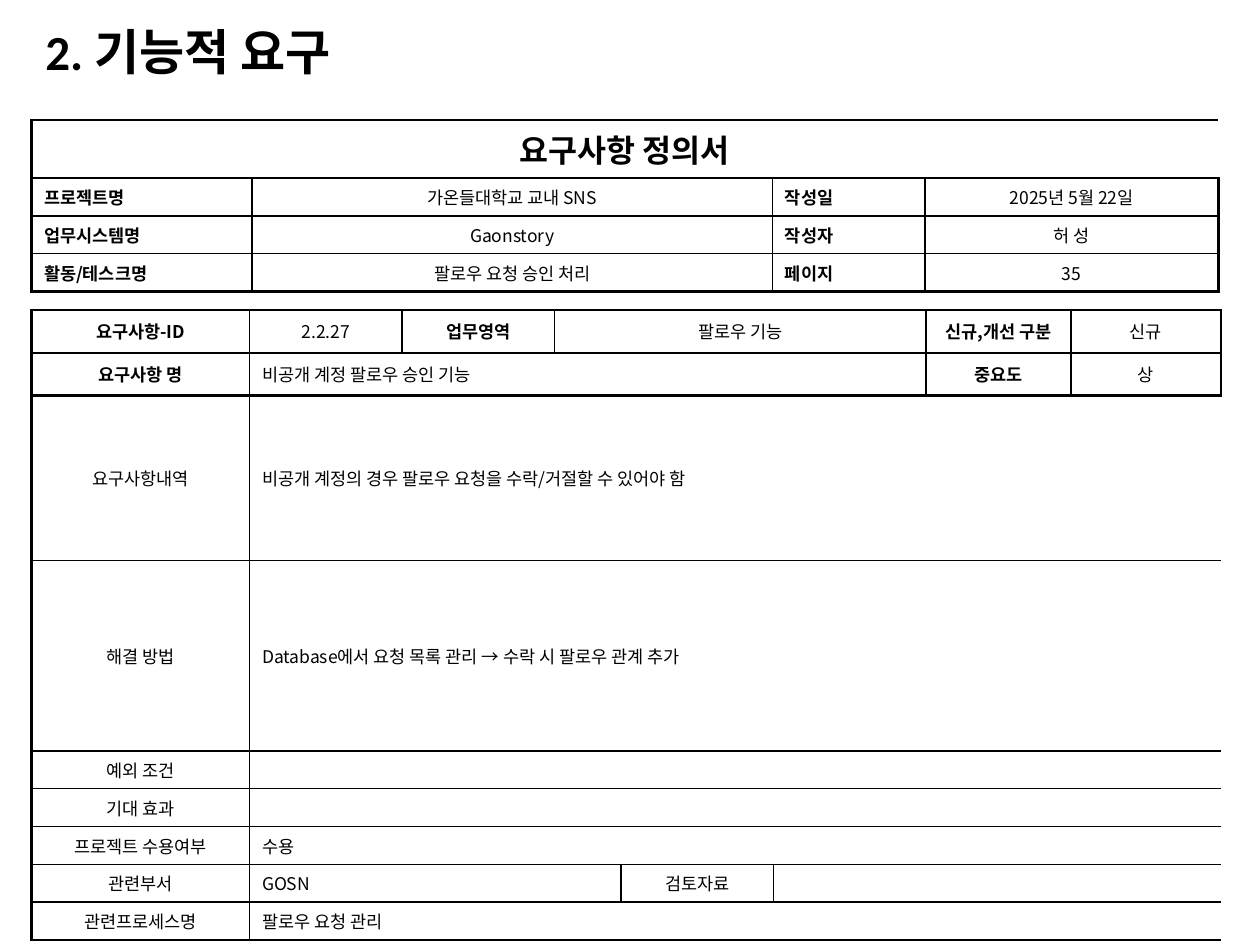
import dataclasses

import pptx
import pptx.dml.color
import pptx.enum.text
import pptx.oxml
import pptx.oxml.ns
import pptx.util
from lxml import etree

qn = pptx.oxml.ns.qn
Inches, Pt = pptx.util.Inches, pptx.util.Pt
ALIGN = {
    "c": pptx.enum.text.PP_ALIGN.CENTER,
    "l": pptx.enum.text.PP_ALIGN.LEFT,
    "j": pptx.enum.text.PP_ALIGN.JUSTIFY,
}
MIDDLE = pptx.enum.text.MSO_ANCHOR.MIDDLE
TOP = pptx.enum.text.MSO_ANCHOR.TOP
NO_STYLE = "{2D5ABB26-0587-4C30-8999-92F81FD0307C}"


@dataclasses.dataclass(frozen=True)
class Theme:
    ink: str = "000000"
    title_font: str = "Calibri"
    body_font: str = "Noto Sans CJK KR"
    title: int = 28
    heading: int = 18
    body: int = 10
    thin: float = 1
    thick: float = 1.5
    left: float = 0.25


THEME = Theme()


@dataclasses.dataclass(frozen=True)
class Cell:
    text: str = ""
    align: str = "c"
    bold: bool = False
    span: int = 1
    size: int = THEME.body
    anchor: object = MIDDLE


def label(text, **options):
    return Cell(text, bold=True, **options)


def style_paragraph(p, size, bold, name):
    p.font.size, p.font.bold, p.font.name = Pt(size), bold, name
    p.font.color.rgb = pptx.dml.color.RGBColor.from_string(THEME.ink)
    # East Asian text uses the same typeface
    def_rpr = p._p.pPr.find(qn("a:defRPr"))
    etree.SubElement(def_rpr, qn("a:ea"), typeface=name)


def space_before_percent(p, percent):
    p.space_before = Pt(0)
    spacing = p._p.pPr.find(qn("a:spcBef"))
    spacing.remove(spacing[0])
    etree.SubElement(spacing, qn("a:spcPct"), val=str(percent * 1000))


def set_borders(cell, widths):
    """Draw the sides given as {side letter: points}, in L, R, T, B order."""
    tc_pr = cell._tc.get_or_add_tcPr()
    for position, (side, width) in enumerate(widths.items()):
        ln = etree.Element(qn(f"a:ln{side}"), w=str(int(Pt(width))))
        fill = etree.SubElement(ln, qn("a:solidFill"))
        etree.SubElement(fill, qn("a:srgbClr"), val=THEME.ink)
        tc_pr.insert(position, ln)


def fill_cell(cell, content):
    cell.fill.background()
    cell.vertical_anchor = content.anchor
    p = cell.text_frame.paragraphs[0]
    p.alignment = ALIGN[content.align]
    space_before_percent(p, 20)
    style_paragraph(p, content.size, content.bold, THEME.body_font)
    if content.text:
        p.add_run().text = content.text


def add_form(slide, top, cols, heights, rows, thick_lines):
    """Add a ruled table; thick_lines holds the numbers of heavy row lines."""
    frame = slide.shapes.add_table(
        len(rows), len(cols), Inches(THEME.left), Inches(top),
        Inches(sum(cols)), Inches(sum(heights)))
    table = frame.table
    table.first_row = table.horz_banding = False
    table._tbl.tblPr.find(qn("a:tableStyleId")).text = NO_STYLE
    for column, width in zip(table.columns, cols):
        column.width = Inches(width)
    for row, height in zip(table.rows, heights):
        row.height = Inches(height)

    def weight(is_thick):
        return THEME.thick if is_thick else THEME.thin

    for i, row in enumerate(rows):
        start = 0
        for content in row:
            last = start + content.span - 1
            if content.span > 1:
                table.cell(i, start).merge(table.cell(i, last))
            fill_cell(table.cell(i, start), content)
            for j in range(start, last + 1):
                sides = {}
                if j == start:
                    sides["L"] = weight(j == 0)
                if j == last:
                    sides["R"] = weight(j == len(cols) - 1)
                sides["T"] = weight(i in thick_lines)
                sides["B"] = weight(i + 1 in thick_lines)
                set_borders(table.cell(i, j), sides)
            start = last + 1


def add_title(slide, text):
    sp = slide.shapes.title
    sp.left, sp.top = Inches(0.26), Inches(0.21)
    sp.width, sp.height = Inches(5.36), Inches(0.44)
    tf = sp.text_frame
    tf.text = text
    tf.word_wrap = True
    tf.auto_size = pptx.enum.text.MSO_AUTO_SIZE.NONE
    tf.vertical_anchor = MIDDLE
    p = tf.paragraphs[0]
    p.alignment = ALIGN["l"]
    p.line_spacing = 0.9
    style_paragraph(p, THEME.title, True, THEME.title_font)


def add_requirement(slide):
    wide = [
        ("요구사항내역", "비공개 계정의 경우 팔로우 요청을 수락/거절할 수 있어야 함"),
        ("해결 방법", "Database에서 요청 목록 관리 → 수락 시 팔로우 관계 추가"),
        ("예외 조건", ""),
        ("기대 효과", ""),
        ("프로젝트 수용여부", "수용"),
        ("관련프로세스명", "팔로우 요청 관리"),
    ]
    rows = [
        [label("요구사항-ID"), Cell("2.2.27"), label("업무영역"),
         Cell("팔로우 기능", span=3), label("신규,개선 구분"), Cell("신규")],
        [label("요구사항 명"), Cell("비공개 계정 팔로우 승인 기능", "l", span=5),
         label("중요도"), Cell("상")],
    ]
    rows += [[Cell(name), Cell(text, "l", span=7)] for name, text in wide]
    # The department row stands before the last one
    rows.insert(-1, [Cell("관련부서"), Cell("GOSN", "l", span=3),
                     Cell("검토자료"), Cell(span=3)])
    add_form(slide, 2.46,
             [1.73, 1.21, 1.21, 0.53, 1.21, 1.21, 1.15, 1.19],
             [0.34] * 2 + [1.31, 1.51] + [0.27] * 5,
             rows, {0, 1, 2, len(rows)})


def add_document_header(slide):
    facts = [
        ("프로젝트명", "가온들대학교 교내 SNS", "작성일", "2025년 5월 22일"),
        ("업무시스템명", "Gaonstory", "작성자", "허 성"),
        ("활동/테스크명", "팔로우 요청 승인 처리", "페이지", "35"),
    ]
    rows = [[label("요구사항 정의서", span=4, size=THEME.heading)]]
    for name, value, side_name, side_value in facts:
        rows.append([label(name, align="j", anchor=TOP), Cell(value, anchor=TOP),
                     label(side_name, align="j", anchor=TOP),
                     Cell(side_value, anchor=TOP)])
    add_form(slide, 0.95, [1.75, 4.13, 1.21, 2.33], [0.46] + [0.27] * 3,
             rows, {0, len(rows)})


def main():
    prs = pptx.Presentation()
    prs.slide_width, prs.slide_height = Inches(10), Inches(7.5)
    slide = prs.slides.add_slide(prs.slide_layouts[5])
    add_title(slide, "2. 기능적 요구")
    add_requirement(slide)
    add_document_header(slide)
    prs.save("out.pptx")


if __name__ == "__main__":
    main()
